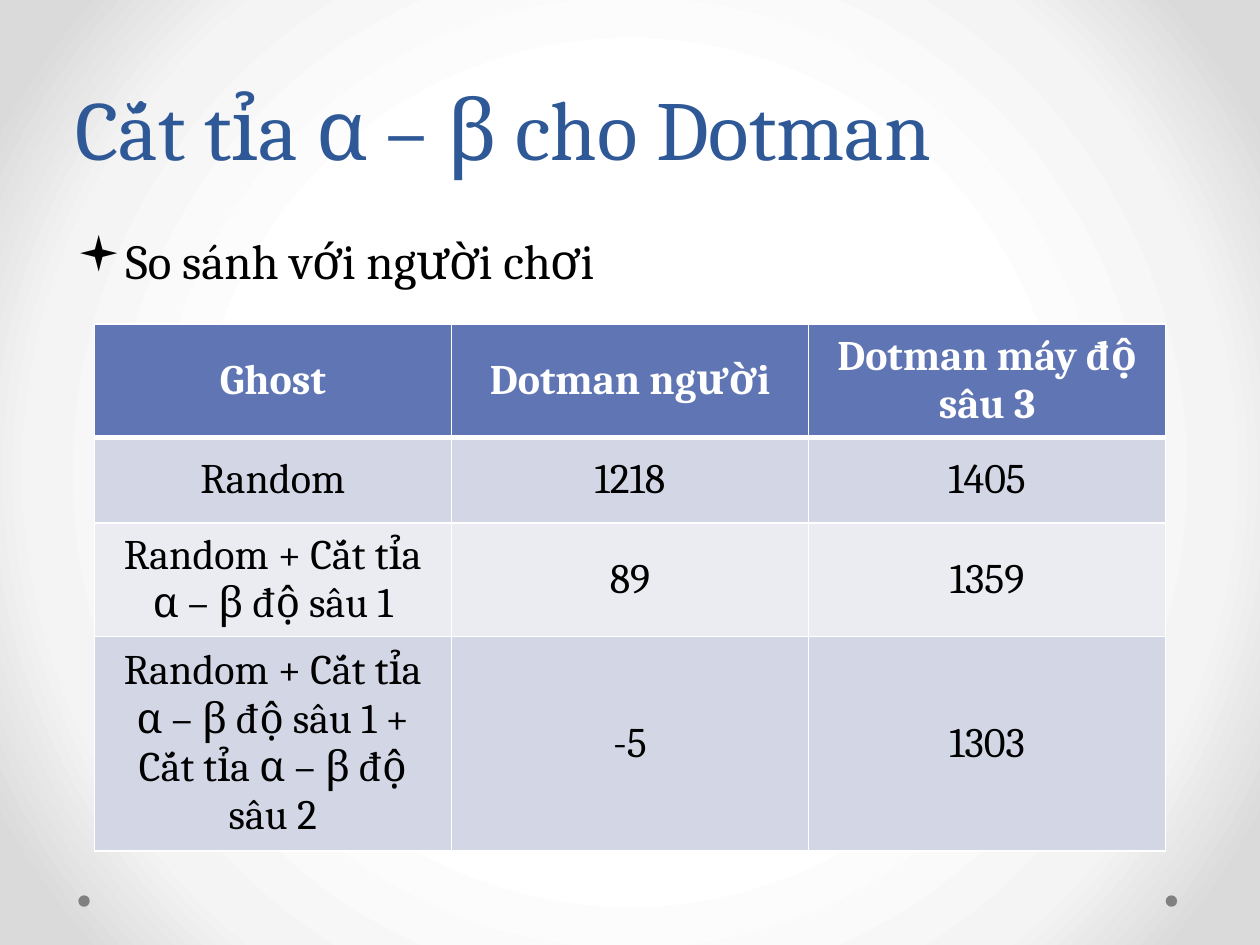
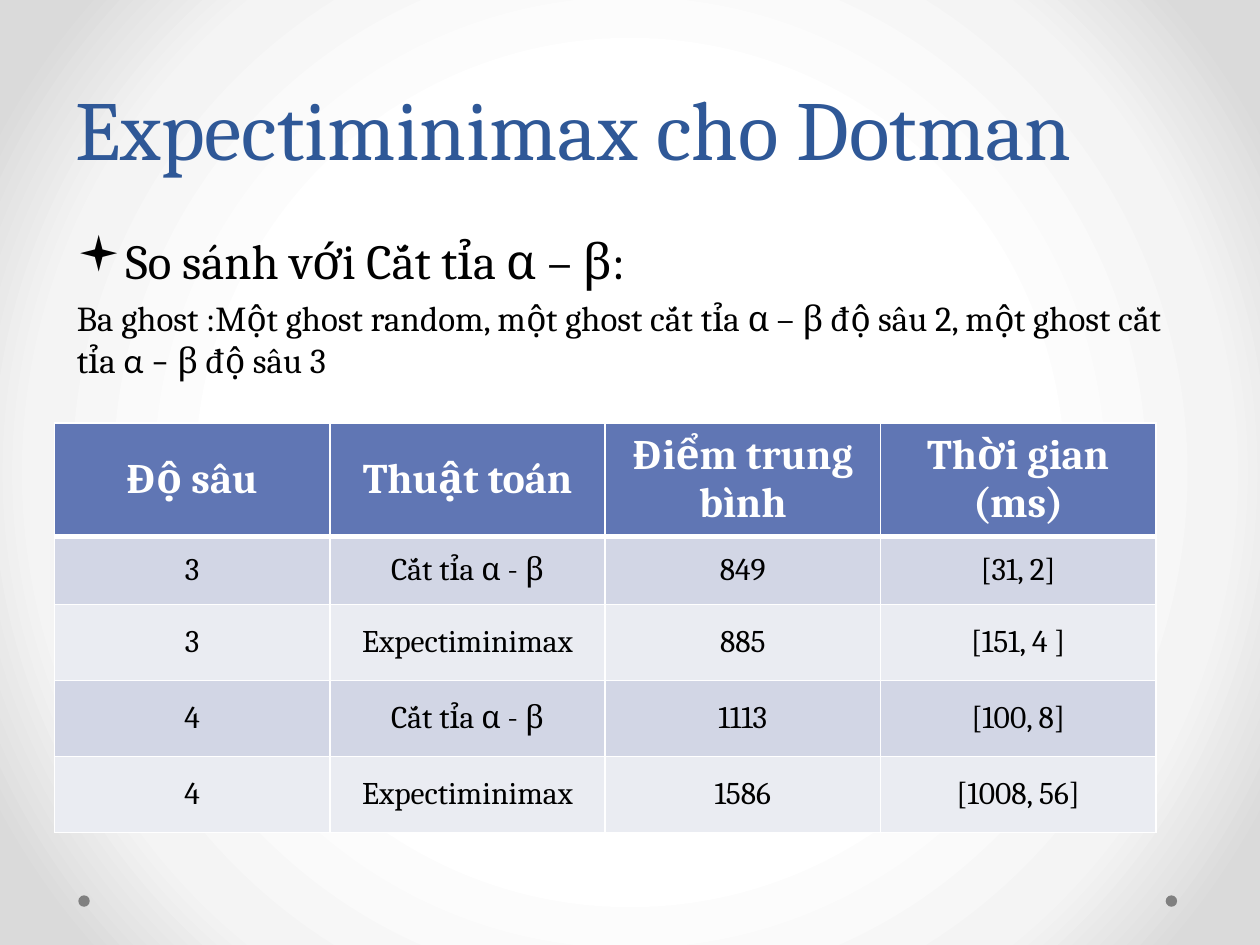
from lxml import etree
from pptx import Presentation
from pptx.dml.color import RGBColor
from pptx.enum.shapes import MSO_SHAPE
from pptx.enum.text import MSO_ANCHOR, PP_ALIGN
from pptx.oxml import parse_xml
from pptx.oxml.ns import nsdecls, qn
from pptx.util import Cm, Pt

BOTTOM, MIDDLE = MSO_ANCHOR.BOTTOM, MSO_ANCHOR.MIDDLE
LEFT, CENTER = PP_ALIGN.LEFT, PP_ALIGN.CENTER
OVAL = MSO_SHAPE.OVAL

TITLE_BLUE = RGBColor(0x2F, 0x58, 0x97)
HEADER_BLUE = RGBColor(0x60, 0x76, 0xB4)
BAND_DARK = RGBColor(0xD2, 0xD6, 0xE5)
BAND_LIGHT = RGBColor(0xEA, 0xEC, 0xF2)
DOT_GRAY = RGBColor(0x80, 0x80, 0x80)
BLACK = RGBColor(0, 0, 0)
WHITE = RGBColor(0xFF, 0xFF, 0xFF)
GLOW = [(0, WHITE), (50, WHITE), (76, RGBColor(0xF4, 0xF4, 0xF4)),
        (92, RGBColor(0xDA, 0xDA, 0xDA)), (100, RGBColor(0xDA, 0xDA, 0xDA))]

SLIDES = [
    {
        "title": "Cắt tỉa α – β cho Dotman",
        "topic": "So sánh với người chơi",
        "note": [],
        "corner": (1.9, 6.53),
        "column_width": 7.2,
        "row_heights": [2.2, 1.73, 2.2, 4.15],
        "body_size": 24,
        "rows": [
            ["Ghost", "Dotman người", "Dotman máy độ sâu 3"],
            ["Random", "1218", "1405"],
            ["Random + Cắt tỉa α – β độ sâu 1", "89", "1359"],
            ["Random + Cắt tỉa α – β độ sâu 1 + Cắt tỉa α – β độ sâu 2", "-5", "1303"],
        ],
    },
    {
        "title": "Expectiminimax cho Dotman",
        "topic": "So sánh với Cắt tỉa α – β:",
        "note": [
            ("Ba ghost :Một ghost random, một ghost cắt tỉa α – β độ sâu 2, "
             "một ghost cắt tỉa ", "Cambria"),
            ("α – ", "Calibri"),
            ("β độ sâu 3", "Cambria"),
        ],
        "corner": (1.1, 8.53),
        "column_width": 5.55,
        "row_heights": [2.17, 1.37, 1.53, 1.53, 1.53],
        "body_size": 18,
        "rows": [
            ["Độ sâu", "Thuật toán", "Điểm trung bình", "Thời gian\n(ms)"],
            ["3", "Cắt tỉa α - β", "849", "[31, 2]"],
            ["3", "Expectiminimax", "885", "[151, 4 ]"],
            ["4", "Cắt tỉa α - β", "1113", "[100, 8]"],
            ["4", "Expectiminimax", "1586", "[1008, 56]"],
        ],
    },
]


def write(paragraph, text, size=24, font="Cambria", color=BLACK, bold=False, align=LEFT):
    run = paragraph.add_run()
    run.text = text
    run.font.size = Pt(size)
    run.font.name = font
    run.font.color.rgb = color
    run.font.bold = bold
    paragraph.alignment = align


def rule_cell(cell, top, bottom):
    properties = cell._tc.get_or_add_tcPr()
    edges = [("lnL", 1), ("lnR", 1), ("lnT", top), ("lnB", bottom)]
    for place, (edge, width) in enumerate(edges):
        properties.insert(place, parse_xml(
            f'<a:{edge} {nsdecls("a")} w="{Pt(width)}"><a:solidFill>'
            f'<a:srgbClr val="{WHITE}"/></a:solidFill></a:{edge}>'))


deck = Presentation()
deck.slide_width, deck.slide_height = Cm(25.4), Cm(19.05)

# Shared background: a round glow from the centre
master = deck.slide_master
master.background.fill.gradient()
glow = master.element.cSld.find(".//" + qn("a:gradFill"))
for child in list(glow):
    glow.remove(child)
stops = etree.SubElement(glow, qn("a:gsLst"))
for percent, color in GLOW:
    stop = etree.SubElement(stops, qn("a:gs"), pos=str(percent * 1000))
    etree.SubElement(stop, qn("a:srgbClr"), val=str(color))
circle = etree.SubElement(glow, qn("a:path"), {"path": "circle"})
etree.SubElement(circle, qn("a:fillToRect"), l="50000", t="50000", r="50000", b="50000")

for content in SLIDES:
    slide = deck.slides.add_slide(deck.slide_layouts[6])

    # Footer dots
    for dot_left in (23.5, 1.58):
        dot = slide.shapes.add_shape(OVAL, Cm(dot_left), Cm(18.05), Cm(0.23), Cm(0.23))
        dot.shadow.inherit = False
        dot.fill.solid()
        dot.fill.fore_color.rgb = DOT_GRAY
        dot.line.fill.background()

    # Title
    title = slide.shapes.add_textbox(Cm(1.27), Cm(0.91), Cm(22.86), Cm(2.79)).text_frame
    title.word_wrap = True
    title.vertical_anchor = BOTTOM
    title.paragraphs[0].line_spacing = Pt(58)
    write(title.paragraphs[0], content["title"], size=48, color=TITLE_BLUE)

    # Bulleted topic and the note below it
    body = slide.shapes.add_textbox(Cm(1.3), Cm(4.52), Cm(22.86), Cm(12.57)).text_frame
    body.word_wrap = True
    topic = body.paragraphs[0]
    topic.space_before = Pt(5.6)
    write(topic, content["topic"], size=28)
    indent = topic._p.get_or_add_pPr()
    indent.set("marL", str(Cm(0.95)))
    indent.set("indent", str(Cm(-0.95)))
    etree.SubElement(indent, qn("a:buFont"), typeface="Wingdings")
    etree.SubElement(indent, qn("a:buChar"), char="▪")
    if content["note"]:
        note = body.add_paragraph()
        note.space_before = Pt(4)
        for text, font in content["note"]:
            write(note, text, size=20, font=font)

    # Results table
    rows, heights = content["rows"], content["row_heights"]
    left, top = content["corner"]
    results = slide.shapes.add_table(
        len(rows), len(rows[0]), Cm(left), Cm(top),
        Cm(content["column_width"] * len(rows[0])), Cm(sum(heights))).table
    for column in results.columns:
        column.width = Cm(content["column_width"])
    for r, row in enumerate(rows):
        results.rows[r].height = Cm(heights[r])
        header = r == 0
        band = HEADER_BLUE if header else (BAND_LIGHT, BAND_DARK)[r % 2]
        for c, text in enumerate(row):
            cell = results.cell(r, c)
            cell.vertical_anchor = MIDDLE
            cell.fill.solid()
            cell.fill.fore_color.rgb = band
            rule_cell(cell, top=3 if r == 1 else 1, bottom=3 if header else 1)
            for n, line in enumerate(text.split("\n")):
                frame = cell.text_frame
                write(frame.add_paragraph() if n else frame.paragraphs[0], line,
                      size=24 if header else content["body_size"],
                      color=WHITE if header else BLACK, bold=header, align=CENTER)

deck.save("out.pptx")
